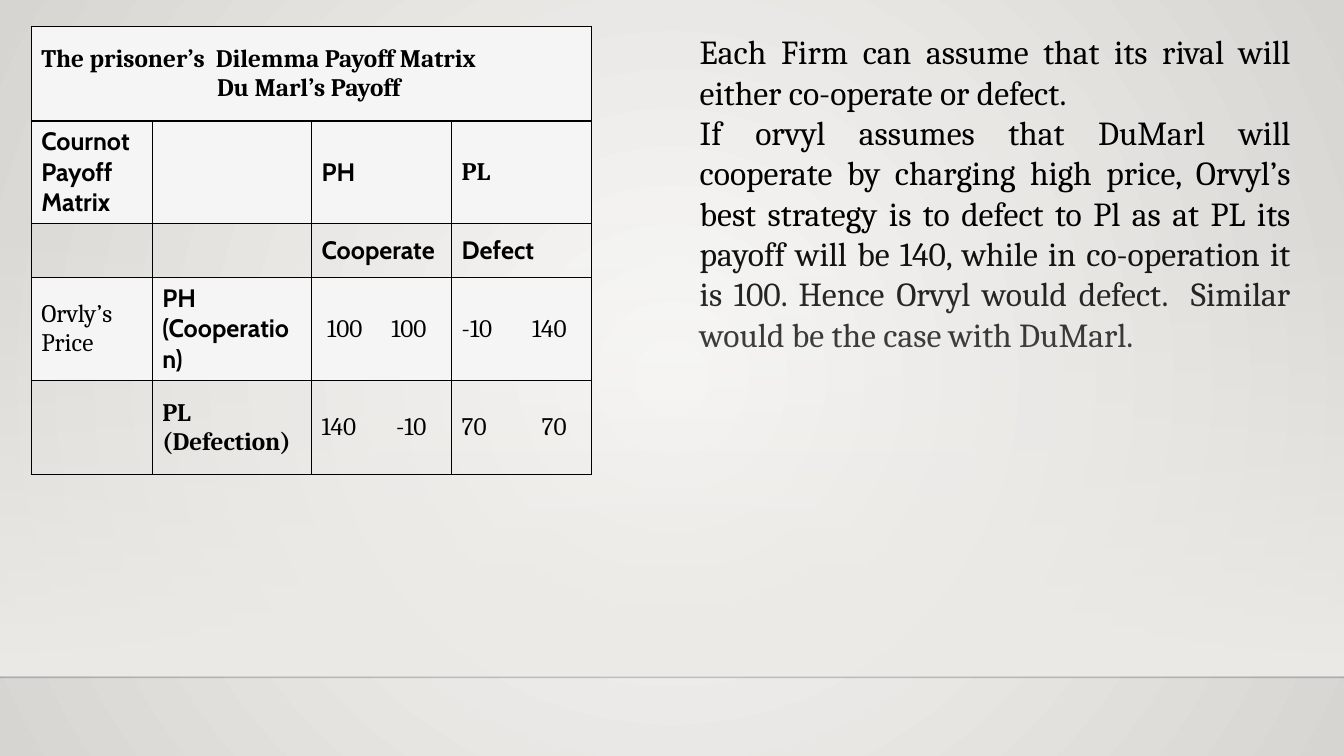
from lxml import etree
from pptx import Presentation
from pptx import util as u
from pptx.dml.color import RGBColor
from pptx.enum import shapes, text
from pptx.oxml import parse_xml
from pptx.oxml.ns import nsdecls, qn

COLOURS = {"ink": "000000", "rule": "000001", "cell": "F5F5F6",
           "glow": "FAFAF9", "edge": "D7D5D2", "floor": "EDEBE7"}
SERIF = {"name": "Cambria", "bold": False}
SERIF_BOLD = {"name": "Cambria", "bold": True}
SANS_BOLD = {"name": "Cabin", "bold": True}

COLUMN_WIDTHS = [1.2, 1.58, 1.39, 1.39]
ROW_HEIGHTS = [0.94, 0.94, 0.54, 0.94, 0.94]
FILLED_ROWS = {0, 1, 3}
SECOND_PAYOFF_EDGE = 1.04
PAYOFFS = [
    [(["The prisoner’s  Dilemma Payoff Matrix", "Du Marl’s Payoff "], SERIF_BOLD)],
    [(["Cournot Payoff Matrix"], SANS_BOLD), None, (["PH"], SANS_BOLD), (["PL"], SERIF_BOLD)],
    [None, None, (["Cooperate"], SANS_BOLD), (["Defect"], SANS_BOLD)],
    [(["Orvly’s Price"], SERIF), (["PH", "(Cooperation)"], SANS_BOLD),
     ([" 100\t100"], SERIF), (["-10\t140"], SERIF)],
    [None, (["PL", "(Defection)"], SERIF_BOLD),
     (["140\t-10"], SERIF), (["70\t70"], SERIF)],
]
EXPLANATION = [
    "Each Firm can assume that its rival will either co-operate or defect.",
    "If orvyl assumes that DuMarl will cooperate by charging high price, Orvyl’s best "
    "strategy is to defect to Pl as at PL its payoff will be 140, while in co-operation "
    "it is 100. Hence Orvyl would defect.  Similar would be the case with DuMarl. ",
]


def set_format(target, values):
    for name, value in values.items():
        setattr(target, name, value)


def gradient(stops, direction):
    """Return a gradFill from (position, colour, opacity) stops in percent."""
    marks = "".join(
        f'<a:gs pos="{place * 1000}"><a:srgbClr val="{COLOURS[colour]}">'
        f'<a:alpha val="{opacity * 1000}"/></a:srgbClr></a:gs>'
        for place, colour, opacity in stops)
    return parse_xml(f'<a:gradFill {nsdecls("a")} rotWithShape="1">'
                     f'<a:gsLst>{marks}</a:gsLst>{direction}</a:gradFill>')


class PayoffSlide:
    def __init__(self, deck):
        self.page = deck.slides.add_slide(deck.slide_layouts[1])
        title = self.page.shapes.title.element
        title.getparent().remove(title)

    def background(self):
        self.page.background.fill.gradient()
        old = self.page.element.xpath("./p:cSld/p:bg//a:gradFill")[0]
        circle = ('<a:path path="circle"><a:fillToRect l="50000" t="50000" '
                  'r="50000" b="50000"/></a:path>')
        old.getparent().replace(
            old, gradient([(0, "glow", 100), (100, "edge", 100)], circle))

    def floor(self, top, height, width):
        box = self.page.shapes.add_shape(
            shapes.MSO_SHAPE.RECTANGLE, 0, u.Inches(top), u.Inches(width), u.Inches(height))
        box.shadow.inherit = False
        box.line.fill.background()
        box.fill.gradient()
        old = box.element.spPr.find(qn("a:gradFill"))
        box.element.spPr.replace(
            old, gradient([(0, "floor", 0), (100, "floor", 100)],
                          '<a:lin ang="5400000" scaled="0"/>'))

    def rule(self, y, width, opacity):
        line = self.page.shapes.add_connector(
            shapes.MSO_CONNECTOR.STRAIGHT, 0, u.Inches(y), u.Inches(width), u.Inches(y))
        line.line.width = u.Pt(1)
        line.line.color.rgb = RGBColor.from_string(COLOURS["rule"])
        colour = line.line._ln.find(".//" + qn("a:srgbClr"))
        etree.SubElement(colour, qn("a:alpha"), val=str(opacity * 1000))
        etree.SubElement(line.line._ln.getparent(), qn("a:effectLst"))

    def add_lines(self, frame, lines, font, size, align):
        for number, line in enumerate(lines):
            para = frame.paragraphs[0] if number == 0 else frame.add_paragraph()
            set_format(para, {"alignment": align, "space_before": u.Pt(0)})
            span = para.add_run()
            span.text = line
            set_format(span.font, {"size": u.Pt(size), **font})
            span.font.color.rgb = RGBColor.from_string(COLOURS["ink"])

    def border(self, cell):
        props = cell._tc.get_or_add_tcPr()
        for place, side in enumerate(("lnL", "lnR", "lnT", "lnB")):
            props.insert(place, parse_xml(
                f'<a:{side} {nsdecls("a")} w="12700"><a:solidFill>'
                f'<a:srgbClr val="{COLOURS["ink"]}"/></a:solidFill></a:{side}>'))

    def matrix(self, left, top):
        table = self.page.shapes.add_table(
            len(ROW_HEIGHTS), len(COLUMN_WIDTHS), u.Inches(left), u.Inches(top),
            u.Inches(sum(COLUMN_WIDTHS)), u.Inches(sum(ROW_HEIGHTS))).table
        set_format(table, {"first_row": False, "horz_banding": False})
        for column, width in zip(table.columns, COLUMN_WIDTHS):
            column.width = u.Inches(width)
        for row, height in zip(table.rows, ROW_HEIGHTS):
            row.height = u.Inches(height)
        table.cell(0, 0).merge(table.cell(0, len(COLUMN_WIDTHS) - 1))
        for r, row in enumerate(table.rows):
            for c, cell in enumerate(row.cells):
                cell.vertical_anchor = text.MSO_ANCHOR.MIDDLE
                if r in FILLED_ROWS:
                    cell.fill.solid()
                    cell.fill.fore_color.rgb = RGBColor.from_string(COLOURS["cell"])
                else:
                    cell.fill.background()
                self.border(cell)
                content = PAYOFFS[r][c] if c < len(PAYOFFS[r]) else None
                if content:
                    lines, font = content
                    self.add_lines(cell.text_frame, lines, font, 18, text.PP_ALIGN.LEFT)
                    if "\t" in lines[0]:
                        self.right_tab(cell.text_frame.paragraphs[0])
        table.cell(0, 0).text_frame.paragraphs[1].alignment = text.PP_ALIGN.CENTER

    def right_tab(self, para):
        tabs = etree.SubElement(para._p.get_or_add_pPr(), qn("a:tabLst"))
        etree.SubElement(tabs, qn("a:tab"), pos=str(u.Inches(SECOND_PAYOFF_EDGE)), algn="r")

    def explanation(self, left, top, width, height):
        box = self.page.placeholders[1]
        set_format(box, {"left": u.Inches(left), "top": u.Inches(top),
                         "width": u.Inches(width), "height": u.Inches(height)})
        set_format(box.text_frame, {"word_wrap": True, "auto_size": text.MSO_AUTO_SIZE.NONE,
                                    "vertical_anchor": text.MSO_ANCHOR.TOP})
        self.add_lines(box.text_frame, EXPLANATION, SERIF, 24, text.PP_ALIGN.JUSTIFY)
        for para in box.text_frame.paragraphs:
            props = para._p.get_or_add_pPr()
            props.set("marL", "0")
            props.set("indent", "0")
            etree.SubElement(props, qn("a:buNone"))


def main():
    deck = Presentation()
    set_format(deck, {"slide_width": u.Inches(13.33), "slide_height": u.Inches(7.5)})
    slide = PayoffSlide(deck)
    slide.background()
    slide.floor(2.2, 4.5, 13.33)
    slide.rule(6.72, 13.33, 20)
    slide.matrix(0.31, 0.26)
    slide.explanation(6.84, 0.26, 6.06, 4.04)
    deck.save("out.pptx")


if __name__ == "__main__":
    main()
